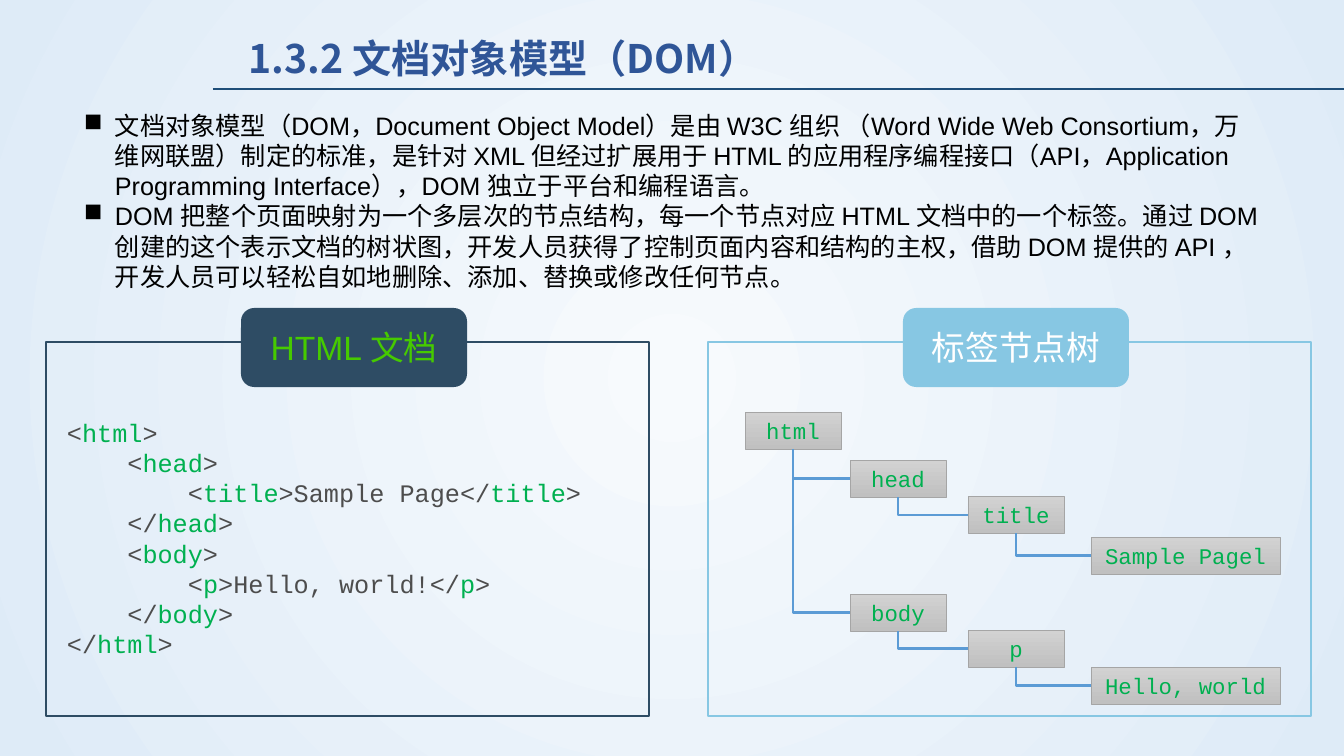
from lxml import etree
from pptx import Presentation
from pptx.dml.color import RGBColor
from pptx.enum.shapes import MSO_CONNECTOR, MSO_SHAPE
from pptx.enum.text import MSO_ANCHOR, PP_ALIGN
from pptx.oxml.ns import qn
from pptx.util import Pt

STRAIGHT, ELBOW = MSO_CONNECTOR.STRAIGHT, MSO_CONNECTOR.ELBOW
RECTANGLE, ROUNDED = MSO_SHAPE.RECTANGLE, MSO_SHAPE.ROUNDED_RECTANGLE
CENTER, MIDDLE = PP_ALIGN.CENTER, MSO_ANCHOR.MIDDLE
BOTTOM_SIDE, LEFT_SIDE = 2, 1
PX = 12192000 / 1344
COLORS = {name: RGBColor.from_string(value) for name, value in {
    "glow": "F7FAFD", "sky": "DEEBF7", "rule": "1F4E79", "title": "2F5597",
    "navy": "2E4C64", "aqua": "87C7E3", "lime": "46CA00", "white": "FFFFFF",
    "black": "000000", "code": "4D4D4D", "tag": "00B050", "branch": "5B9BD5",
    "node_top": "D2D2D2", "node_bottom": "C0C0C0", "node_edge": "A5A5A5",
}.items()}


def px(*lengths):
    """Turn pixel lengths into a list of EMU."""
    return [round(length * PX) for length in lengths]


def set_font(font, name, size, color):
    font.name, font.size = name, Pt(size)
    font.color.rgb = COLORS[color]


deck = Presentation()
deck.slide_width, deck.slide_height = px(1344, 756)
page = deck.slides.add_slide(deck.slide_layouts[6])
shapes = page.shapes

# Background: radial glow from the centre
backdrop = page.background.fill
backdrop.gradient()
for stop, color in zip(backdrop.gradient_stops, ("glow", "sky")):
    stop.color.rgb = COLORS[color]
linear = page.element.find(".//" + qn("a:lin"))
radial = etree.Element(qn("a:path"), path="circle")
etree.SubElement(radial, qn("a:fillToRect"), l="50000", t="50000", r="50000", b="50000")
linear.getparent().replace(linear, radial)

# Heading
rule = shapes.add_connector(STRAIGHT, *px(213, 89, 1344, 89))
rule.line.color.rgb, rule.line.width = COLORS["rule"], Pt(1.25)
etree.SubElement(rule.element.spPr, qn("a:effectLst"))
heading = shapes.add_textbox(*px(239, 29, 1062, 57)).text_frame
heading.word_wrap = True
para = heading.paragraphs[0]
para.text = "1.3.2 文档对象模型（DOM）"
set_font(para.font, "Noto Sans CJK SC", 28, "title")
para.font.bold = True

# Bulleted explanation
points = [
    "文档对象模型（DOM，Document Object Model）是由 W3C 组织 （Word Wide Web Consortium，万维网联盟）制定的标准，"
    "是针对 XML 但经过扩展用于 HTML 的应用程序编程接口（API，Application Programming Interface），"
    "DOM 独立于平台和编程语言。",
    "DOM 把整个页面映射为一个多层次的节点结构，每一个节点对应 HTML 文档中的一个标签。"
    "通过 DOM 创建的这个表示文档的树状图，开发人员获得了控制页面内容和结构的主权，"
    "借助 DOM 提供的 API ，开发人员可以轻松自如地删除、添加、替换或修改任何节点。",
]
body = shapes.add_textbox(*px(74, 105, 1197, 194)).text_frame
body.word_wrap = True
indent = px(31)[0]
for index, point in enumerate(points):
    para = body.add_paragraph() if index else body.paragraphs[0]
    para.text = point
    properties = para._p.get_or_add_pPr()
    properties.set("marL", str(indent))
    properties.set("indent", str(-indent))
    etree.SubElement(properties, qn("a:buChar"), char="■")
    set_font(para.font, "Arial", 18, "black")

# Two framed panels with a label on the top edge
for left, color, label, label_color in (
    (46, "navy", "HTML 文档", "lime"),
    (708, "aqua", "标签节点树", "white"),
):
    frame = shapes.add_shape(RECTANGLE, *px(left, 342, 603, 374))
    frame.shadow.inherit = False
    frame.fill.background()
    frame.line.color.rgb, frame.line.width = COLORS[color], Pt(1.5)
    tab = shapes.add_shape(ROUNDED, *px(left + 195, 308, 226, 79))
    tab.shadow.inherit = False
    tab.fill.solid()
    tab.fill.fore_color.rgb = COLORS[color]
    tab.line.fill.background()
    tab.text_frame.vertical_anchor = MIDDLE
    para = tab.text_frame.paragraphs[0]
    para.text, para.alignment = label, CENTER
    set_font(para.font, "Arial", 24, label_color)

# Code listing: every second piece between bars is a tag name
code_lines = [
    "<|html|>",
    "    <|head|>",
    "        <|title|>Sample Page</|title|>",
    "    </|head|>",
    "    <|body|>",
    "        <|p|>Hello, world!</|p|>",
    "    </|body|>",
    "</|html|>",
]
listing = shapes.add_textbox(*px(57, 412, 578, 286)).text_frame
listing.word_wrap = True
for index, code_line in enumerate(code_lines):
    para = listing.add_paragraph() if index else listing.paragraphs[0]
    set_font(para.font, "Courier New", 18, "code")
    for piece, text in enumerate(code_line.split("|")):
        span = para.add_run()
        span.text = text
        if piece % 2:
            span.font.color.rgb = COLORS["tag"]

# Node tree: text, parent, depth, top
columns = [(745, 96), (850, 96), (968, 96), (1091, 189)]
tree = [
    ("html", None, 0, 412),
    ("head", "html", 1, 460),
    ("title", "head", 2, 496),
    ("Sample Pagel", "title", 3, 537),
    ("body", "html", 1, 594),
    ("p", "body", 2, 630),
    ("Hello, world", "p", 3, 667),
]
nodes = {}
for text, parent, depth, top in tree:
    left, width = columns[depth]
    node = nodes[text] = shapes.add_shape(RECTANGLE, *px(left, top, width, 37))
    node.shadow.inherit = False
    node.fill.gradient()
    node.fill.gradient_angle = 270
    for stop, color in zip(node.fill.gradient_stops, ("node_top", "node_bottom")):
        stop.color.rgb = COLORS[color]
    node.line.color.rgb, node.line.width = COLORS["node_edge"], Pt(0.5)
    node.text_frame.vertical_anchor = MIDDLE
    node.text_frame.word_wrap = False
    para = node.text_frame.paragraphs[0]
    para.text, para.alignment = text, CENTER
    set_font(para.font, "Courier New", 16, "tag")
    if parent is None:
        continue

    branch = shapes.add_connector(ELBOW, 0, 0, 0, 0)
    branch.begin_connect(nodes[parent], BOTTOM_SIDE)
    branch.end_connect(node, LEFT_SIDE)
    branch.line.color.rgb, branch.line.width = COLORS["branch"], Pt(1.5)
    etree.SubElement(branch.element.spPr, qn("a:effectLst"))
    # One bend, down then right: a quarter turn swaps width and height about the centre
    across, down = branch.width, branch.height
    branch.left += (across - down) // 2
    branch.top += (down - across) // 2
    branch.width, branch.height = down, across
    branch.element.spPr.find(qn("a:prstGeom")).set("prst", "bentConnector2")
    transform = branch.element.spPr.find(qn("a:xfrm"))
    transform.set("rot", "5400000")
    transform.set("flipV", "1")

deck.save("out.pptx")
